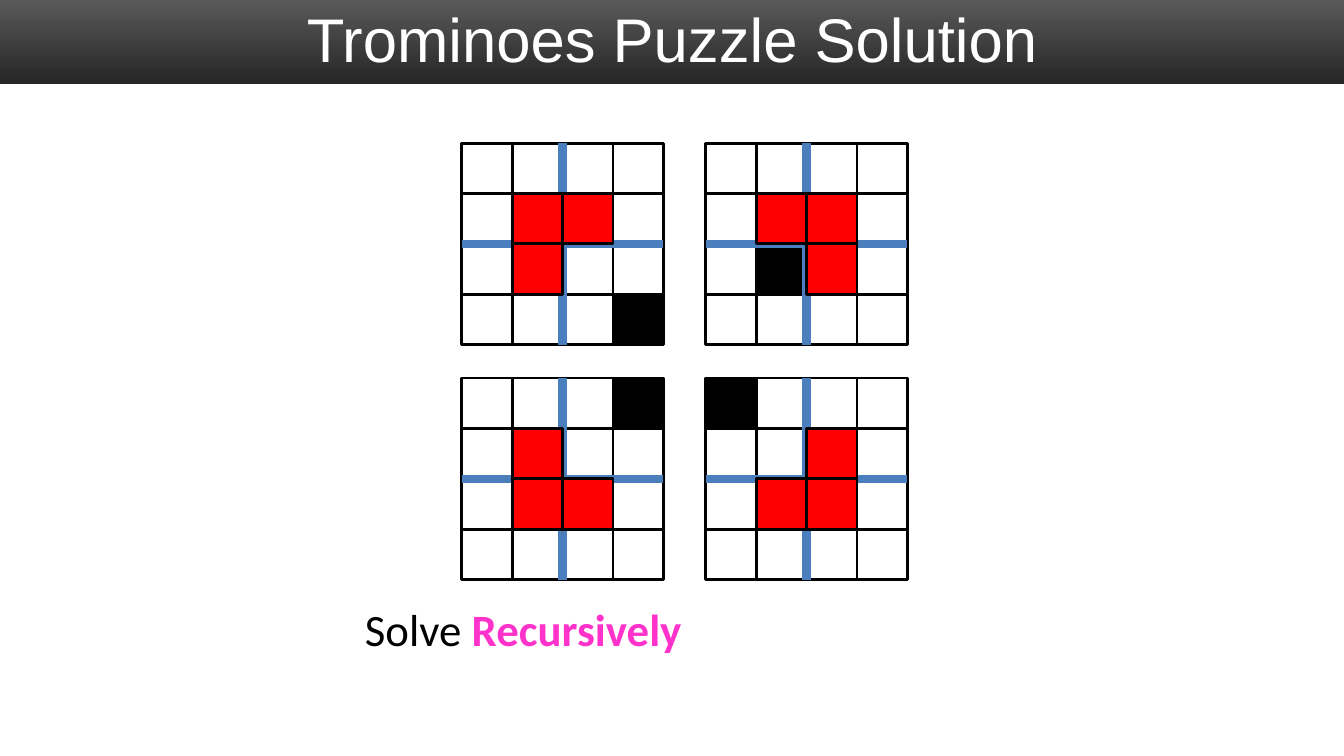
import pptx
import pptx.util
import pptx.dml.color
import pptx.enum.shapes
import pptx.enum.text
import pptx.oxml.ns
import lxml.etree

Inches, Pt = pptx.util.Inches, pptx.util.Pt
RECTANGLE = pptx.enum.shapes.MSO_SHAPE.RECTANGLE
STRAIGHT = pptx.enum.shapes.MSO_CONNECTOR.STRAIGHT

TITLE = "Trominoes Puzzle Solution"
CAPTION = ["Solve ", "Recursively"]
COLOURS = {
    "bar top": "595959", "bar bottom": "262626", "title": "FFFFFF",
    "grid": "000000", "hole": "000000", "tromino": "FF0000",
    "divider": "4B7EBC", "text": "000000", "accent": "FF33CC",
}
# Cells are (column, row); a tromino fills the centre of its board except "open".
BOARDS = [
    {"at": (4.58, 1.42), "hole": (3, 3), "open": (2, 2)},
    {"at": (7, 1.42), "hole": (1, 2), "open": (1, 2)},
    {"at": (4.58, 3.75), "hole": (3, 0), "open": (2, 1)},
    {"at": (7, 3.75), "hole": (0, 0), "open": (1, 1)},
]
CELL = 0.5
SIDE = 4
GRID = [(column, row) for row in range(SIDE) for column in range(SIDE)]
CENTRE = [(column, row) for column, row in GRID if {column, row} <= {1, 2}]


def colour(name):
    return pptx.dml.color.RGBColor.from_string(COLOURS[name])


def tromino_cells(board):
    return [cell for cell in CENTRE if cell != board["open"]]


def add_cells(page, board, cells, fills):
    """Group square cells of a board; fills maps a cell to its colour name."""
    left, top = board["at"]
    group = page.shapes.add_group_shape()
    for column, row in cells:
        square = group.shapes.add_shape(
            RECTANGLE, Inches(left + column * CELL), Inches(top + row * CELL),
            Inches(CELL), Inches(CELL))
        square.shadow.inherit = False
        square.line.color.rgb = colour("grid")
        square.line.width = Pt(2)
        if (column, row) in fills:
            square.fill.solid()
            square.fill.fore_color.rgb = colour(fills[column, row])
        else:
            square.fill.background()


def add_dividers(page, board):
    left, top = board["at"]
    full, half = SIDE * CELL, SIDE * CELL / 2
    for start, end in [((half, 0), (half, full)), ((full, half), (0, half))]:
        divider = page.shapes.add_connector(
            STRAIGHT, Inches(left + start[0]), Inches(top + start[1]),
            Inches(left + end[0]), Inches(top + end[1]))
        divider.line.color.rgb = colour("divider")
        divider.line.width = Pt(6)
        lxml.etree.SubElement(divider._element.spPr, pptx.oxml.ns.qn("a:effectLst"))


def add_title(page, width):
    bar = page.shapes.add_shape(RECTANGLE, 0, 0, width, Inches(0.83))
    bar.shadow.inherit = False
    bar.line.fill.background()
    bar.fill.gradient()
    bar.fill.gradient_angle = 270
    for stop, name, position in zip(bar.fill.gradient_stops, ["bar top", "bar bottom"], [0, 1]):
        stop.color.rgb = colour(name)
        stop.position = position

    title = page.shapes.title
    title._element.addprevious(bar._element)
    title.left, title.top = Inches(0.67), Inches(-0.25)
    title.width, title.height = Inches(12), Inches(1.25)
    title.text_frame.text = TITLE
    title.text_frame.vertical_anchor = pptx.enum.text.MSO_ANCHOR.MIDDLE
    para = title.text_frame.paragraphs[0]
    para.alignment = pptx.enum.text.PP_ALIGN.CENTER
    para.font.name = "Arial"
    para.font.size = Pt(44)
    para.font.color.rgb = colour("title")


def add_caption(page):
    box = page.shapes.add_textbox(Inches(3.52), Inches(5.92), Inches(7.01), Inches(0.64))
    box.text_frame.word_wrap = True
    para = box.text_frame.paragraphs[0]
    for text, name in zip(CAPTION, ["text", "accent"]):
        span = para.add_run()
        span.text = text
        span.font.name = "Calibri"
        span.font.size = Pt(32)
        span.font.bold = name == "accent"
        span.font.color.rgb = colour(name)


def main():
    deck = pptx.Presentation()
    deck.slide_width, deck.slide_height = Inches(13.33), Inches(7.5)
    page = deck.slides.add_slide(deck.slide_layouts.get_by_name("Title Only"))
    add_title(page, deck.slide_width)
    for board in BOARDS:
        uncovered = [cell for cell in GRID if cell not in tromino_cells(board)]
        add_cells(page, board, uncovered, {board["hole"]: "hole"})
    add_caption(page)
    for board in BOARDS:
        add_dividers(page, board)
    for board in BOARDS:
        tromino = tromino_cells(board)
        add_cells(page, board, tromino, dict.fromkeys(tromino, "tromino"))
    deck.save("out.pptx")


if __name__ == "__main__":
    main()
